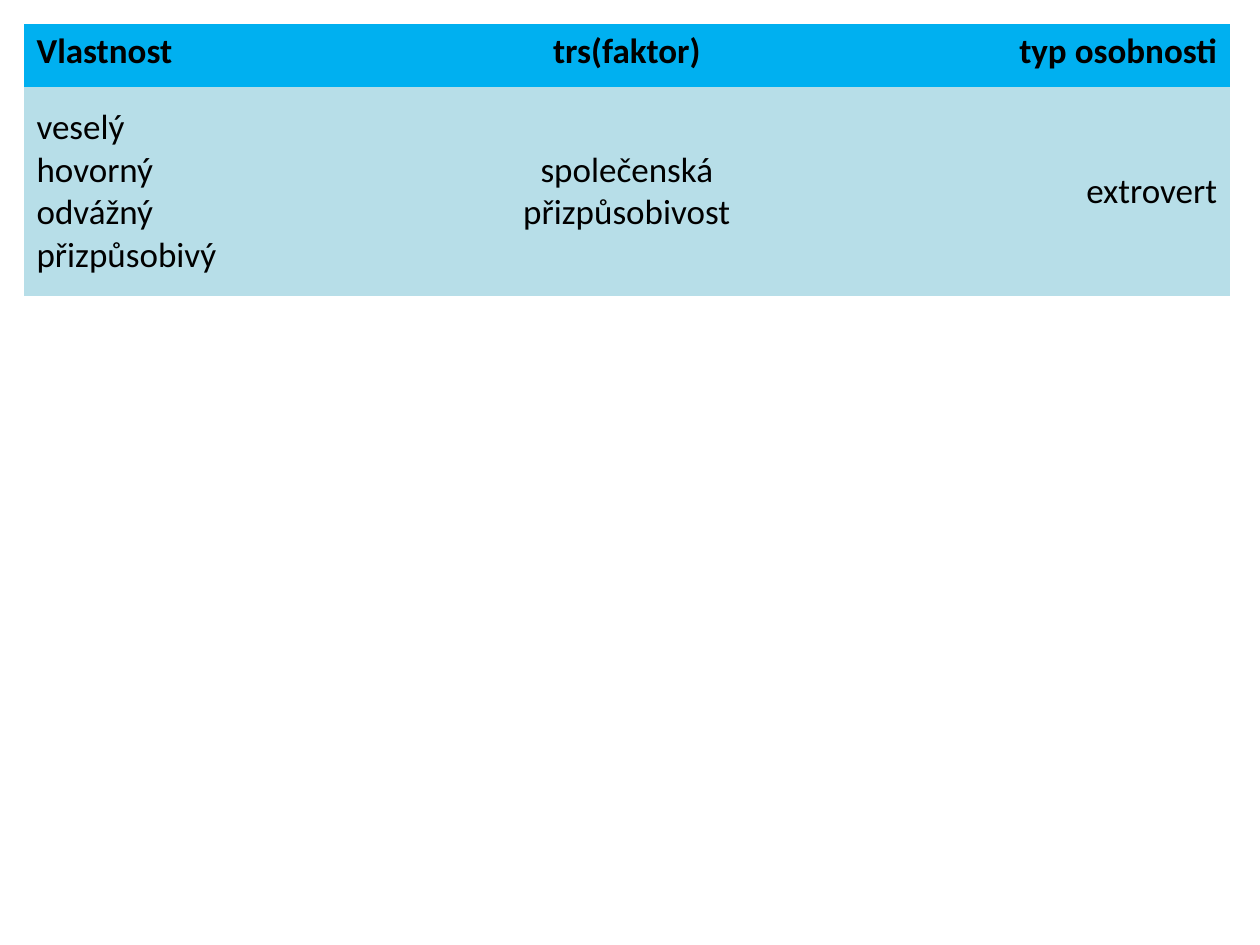
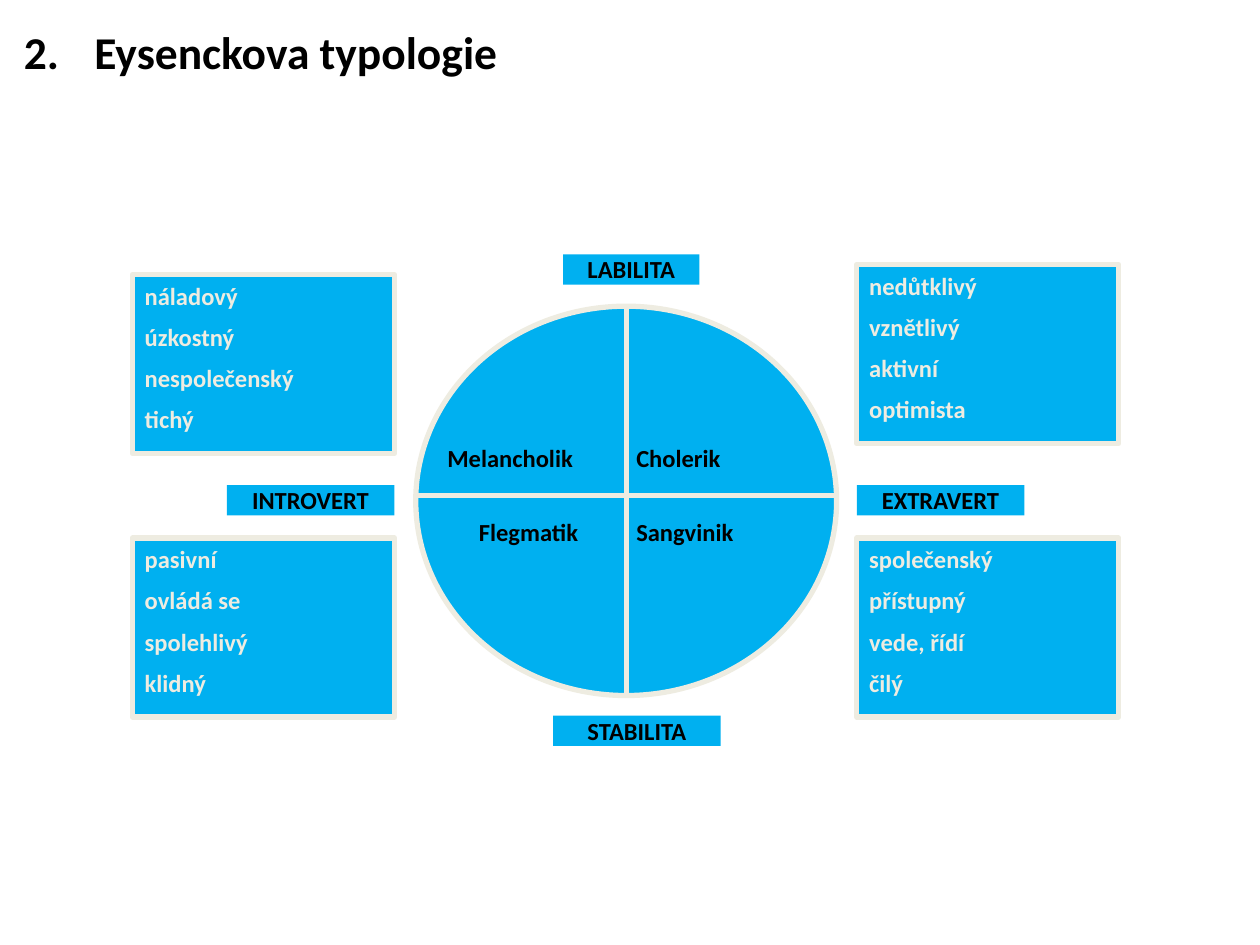
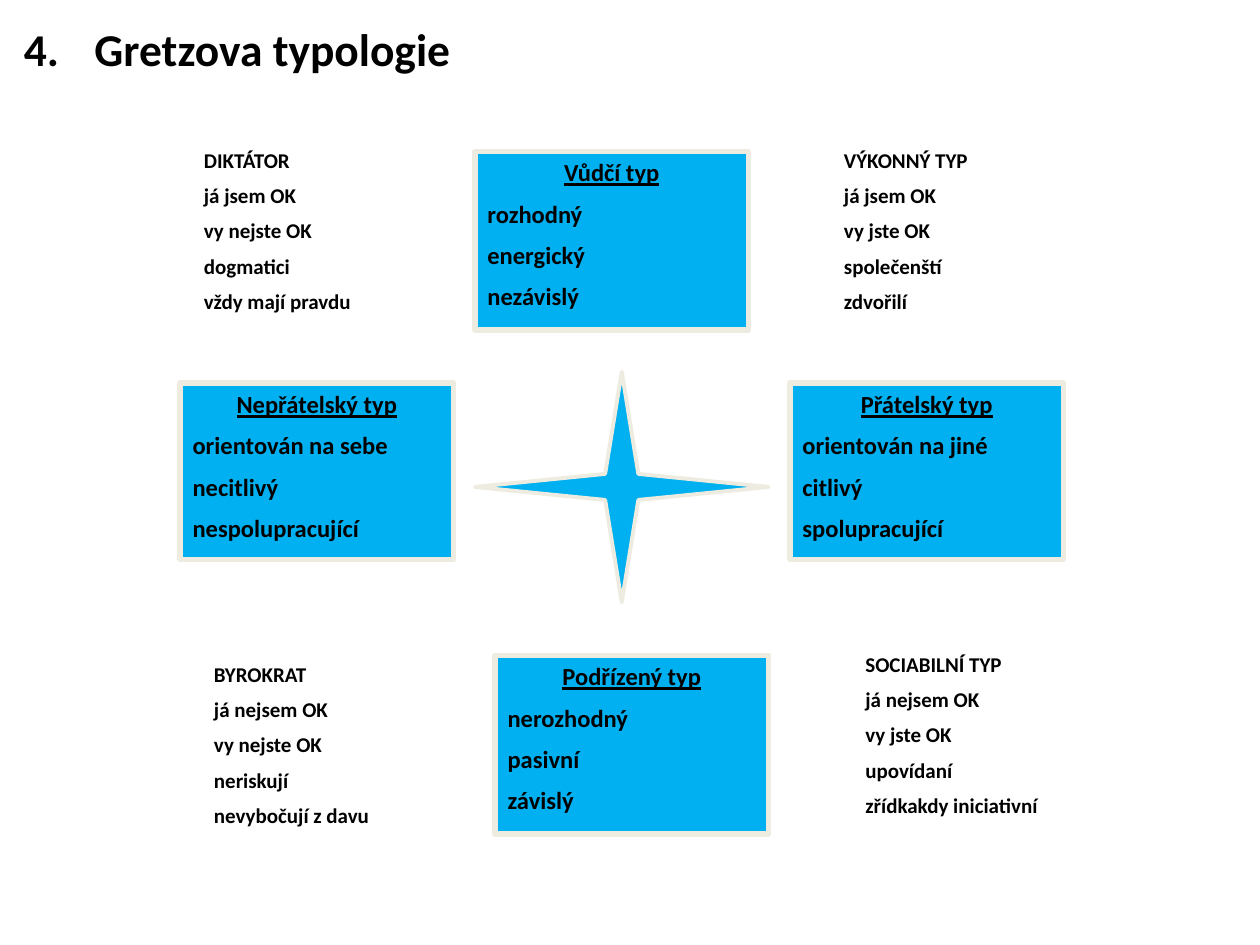
from dataclasses import dataclass

from lxml import etree
from pptx import Presentation
from pptx.dml.color import RGBColor
from pptx.enum.shapes import MSO_CONNECTOR, MSO_SHAPE
from pptx.enum.text import MSO_ANCHOR, PP_ALIGN as AL
from pptx.oxml.ns import qn
from pptx.util import Inches, Pt

NO_TABLE_STYLE = "{2D5ABB26-0587-4C30-8999-92F81FD0307C}"


@dataclass(frozen=True)
class Theme:
    font: str = "Calibri"
    blue: str = "00B0F0"
    pale: str = "B7DEE8"
    cream: str = "EEECE1"
    black: str = "000000"
    title: int = 26
    table: int = 20
    body: int = 14
    note: int = 12
    line: float = 3
    gap: float = 0.48  # space before a paragraph, as a share of the type size


T = Theme()


def rgb(value):
    return RGBColor.from_string(value)


def write(tf, lines, size=T.body, color=T.black, bold=True, align=AL.LEFT,
          gap=T.gap, heading=False, inset=None, anchor=MSO_ANCHOR.TOP):
    """Fill a text frame, one paragraph a line; heading centres and underlines the first."""
    tf.word_wrap = True
    tf.vertical_anchor = anchor
    if inset is not None:
        tf.margin_left = tf.margin_right = tf.margin_top = tf.margin_bottom = Inches(inset)
    for i, line in enumerate(lines):
        p = tf.paragraphs[0] if i == 0 else tf.add_paragraph()
        is_heading = heading and i == 0
        p.alignment = AL.CENTER if is_heading else align
        p.space_before = Pt(size * gap if i else 0)
        r = p.add_run()
        r.text = line
        r.font.name, r.font.size, r.font.bold = T.font, Pt(size), bold
        r.font.underline = is_heading
        r.font.color.rgb = rgb(color)


class Deck:
    def __init__(self):
        self.prs = Presentation()
        self.prs.slide_width, self.prs.slide_height = Inches(10), Inches(7.5)
        self.s = None

    def slide(self):
        self.s = self.prs.slides.add_slide(self.prs.slide_layouts[6])

    def text(self, x, y, w, h, lines, **fmt):
        tb = self.s.shapes.add_textbox(*map(Inches, (x, y, w, h)))
        write(tb.text_frame, lines, **fmt)
        return tb

    def title(self, number, text, y, h):
        tb = self.text(0.19, y, 9.56, h, [text], size=T.title, inset=0)
        pPr = tb.text_frame.paragraphs[0]._p.get_or_add_pPr()
        pPr.set("marL", str(Inches(0.56)))
        pPr.set("indent", str(-Inches(0.56)))
        etree.SubElement(pPr, qn("a:buAutoNum"), type="arabicPeriod", startAt=str(number))

    def shape(self, kind, x, y, w, h, line=T.line):
        sp = self.s.shapes.add_shape(kind, *map(Inches, (x, y, w, h)))
        sp.shadow.inherit = False
        sp.fill.solid()
        sp.fill.fore_color.rgb = rgb(T.blue)
        if line:
            sp.line.color.rgb = rgb(T.cream)
            sp.line.width = Pt(line)
        else:
            sp.line.fill.background()
        return sp

    def box(self, x, y, w, h, lines, **fmt):
        sp = self.shape(MSO_SHAPE.RECTANGLE, x, y, w, h)
        write(sp.text_frame, lines, **fmt)

    def label(self, x, y, text, w=1.33, align=AL.CENTER):
        sp = self.shape(MSO_SHAPE.RECTANGLE, x, y, w, 0.24, line=None)
        write(sp.text_frame, [text], align=align, inset=0)

    def line(self, x1, y1, x2, y2):
        cx = self.s.shapes.add_connector(MSO_CONNECTOR.STRAIGHT, *map(Inches, (x1, y1, x2, y2)))
        cx.line.color.rgb = rgb(T.cream)
        cx.line.width = Pt(T.line)
        etree.SubElement(cx._element.spPr, qn("a:effectLst"))

    def table(self, x, y, col_w, row_heights, rows, aligns):
        """Each cell is a list of lines; the first row is the header."""
        frame = self.s.shapes.add_table(len(rows), len(aligns), Inches(x), Inches(y),
                                        Inches(col_w * len(aligns)), Inches(sum(row_heights)))
        table = frame.table
        table.first_row = table.horz_banding = False
        table._tbl.tblPr.find(qn("a:tableStyleId")).text = NO_TABLE_STYLE
        for col in table.columns:
            col.width = Inches(col_w)
        for i, (row, height) in enumerate(zip(rows, row_heights)):
            table.rows[i].height = Inches(height)
            header = i == 0
            for j, (lines, align) in enumerate(zip(row, aligns)):
                cell = table.cell(i, j)
                cell.fill.solid()
                cell.fill.fore_color.rgb = rgb(T.blue if header else T.pale)
                write(cell.text_frame, lines, size=T.table, bold=header, align=align, gap=0)
                cell.vertical_anchor = MSO_ANCHOR.TOP if header else MSO_ANCHOR.MIDDLE


def traits_slide(d):
    d.slide()
    d.table(0.19, 0.19, 3.19, [0.5, 1.66], [
        [["Vlastnost"], ["trs(faktor)"], ["typ osobnosti"]],
        [["veselý", "hovorný", "odvážný", "přizpůsobivý"],
         ["společenská přizpůsobivost"], ["extrovert"]],
    ], [AL.LEFT, AL.CENTER, AL.RIGHT])


def eysenck_slide(d):
    d.slide()
    d.title(2, "Eysenckova typologie", 0.19, 0.61)
    for x, y, traits in [
        (6.8, 4.27, ["společenský", "přístupný", "vede, řídí", "čilý"]),
        (1.05, 4.27, ["pasivní", "ovládá se", "spolehlivý", "klidný"]),
        (1.05, 2.18, ["náladový", "úzkostný", "nespolečenský", "tichý"]),
        (6.8, 2.1, ["nedůtklivý", "vznětlivý", "aktivní", "optimista"]),
    ]:
        d.box(x, y, 2.08, 1.42, traits, color=T.cream)

    left, top, w, h = 3.3, 2.43, 3.34, 3.09
    d.shape(MSO_SHAPE.OVAL, left, top, w, h)
    d.line(left + w / 2, top, left + w / 2, top + h)
    d.line(left, 3.93, left + w, 3.93)
    for x, y, temperament in [(5.05, 3.52, "Cholerik"), (5.05, 4.1, "Sangvinik"),
                              (3.55, 3.52, "Melancholik")]:
        d.label(x, y, temperament, align=AL.LEFT)
    for x, y, pole in [(4.39, 5.68, "STABILITA"), (1.8, 3.85, "INTROVERT"),
                       (6.8, 3.85, "EXTRAVERT")]:
        d.label(x, y, pole)
    d.label(4.47, 2.02, "LABILITA", w=1.08)
    d.text(3.8, 4.1, 1.08, 0.24, ["Flegmatik"], inset=0)


def gretz_slide(d):
    d.slide()
    d.title(4, "Gretzova typologie", 0.17, 0.53)
    for x, y, h, lines in [
        (3.77, 1.2, 1.42, ["Vůdčí typ", "rozhodný", "energický", "nezávislý"]),
        (3.93, 5.2, 1.42, ["Podřízený typ", "nerozhodný", "pasivní", "závislý"]),
        (1.43, 3.04, 1.4, ["Nepřátelský typ", "orientován na sebe", "necitlivý",
                           "nespolupracující"]),
        (6.27, 3.04, 1.4, ["Přátelský typ", "orientován na jiné", "citlivý",
                           "spolupracující"]),
    ]:
        d.box(x, y, 2.17, h, lines, heading=True)
    for x, y, lines in [
        (1.52, 1.12, ["DIKTÁTOR", "já jsem OK", "vy nejste OK", "dogmatici",
                      "vždy mají pravdu"]),
        (6.77, 5.12, ["SOCIABILNÍ TYP", "já nejsem OK", "vy jste OK", "upovídaní",
                      "zřídkakdy iniciativní"]),
        (1.6, 5.2, ["BYROKRAT", "já nejsem OK", "vy nejste OK", "neriskují",
                    "nevybočují z davu"]),
        (6.6, 1.12, ["VÝKONNÝ TYP", "já jsem OK", "vy jste OK", "společenští", "zdvořilí"]),
    ]:
        d.text(x, y, 1.83, 1.5, lines, size=T.note)
    star = d.shape(MSO_SHAPE.STAR_4_POINT, 3.77, 2.95, 2.33, 1.83, line=2.25)
    star.adjustments[0] = 0.08


def main():
    d = Deck()
    traits_slide(d)
    eysenck_slide(d)
    gretz_slide(d)
    d.prs.save("out.pptx")


if __name__ == "__main__":
    main()
